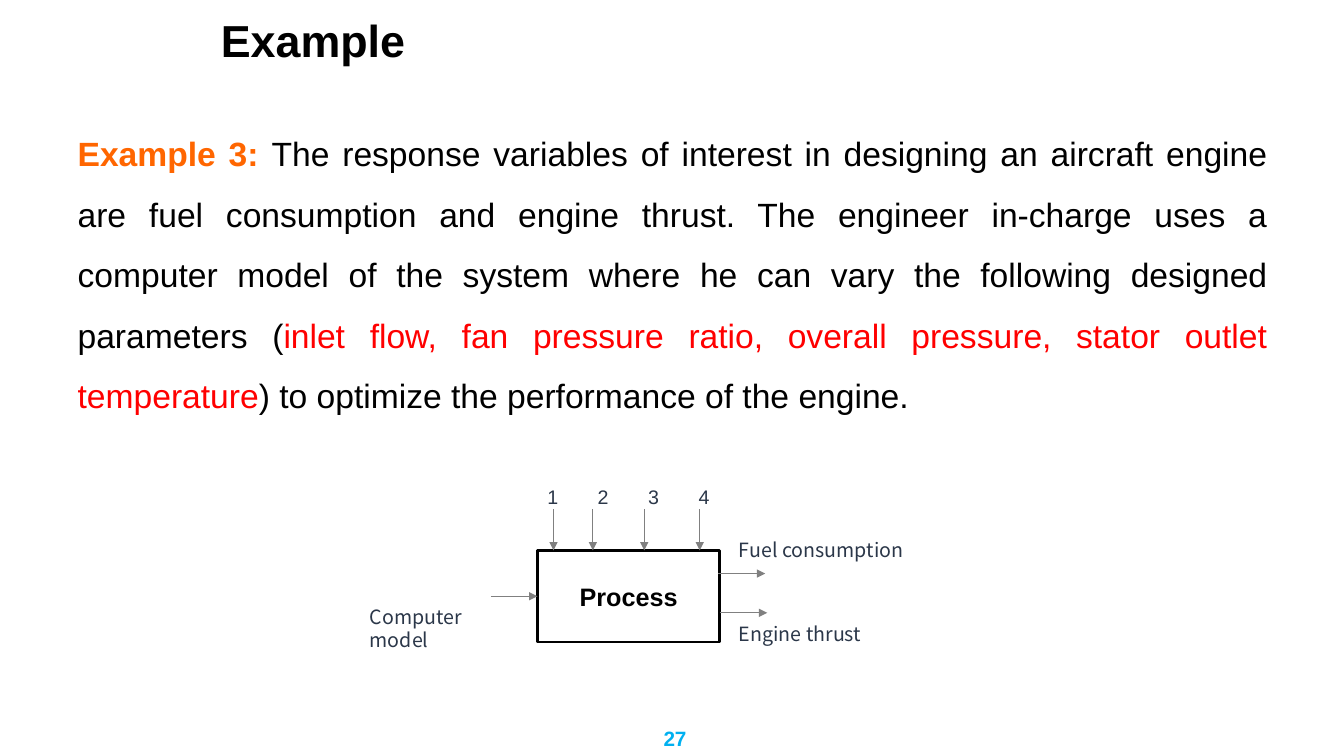
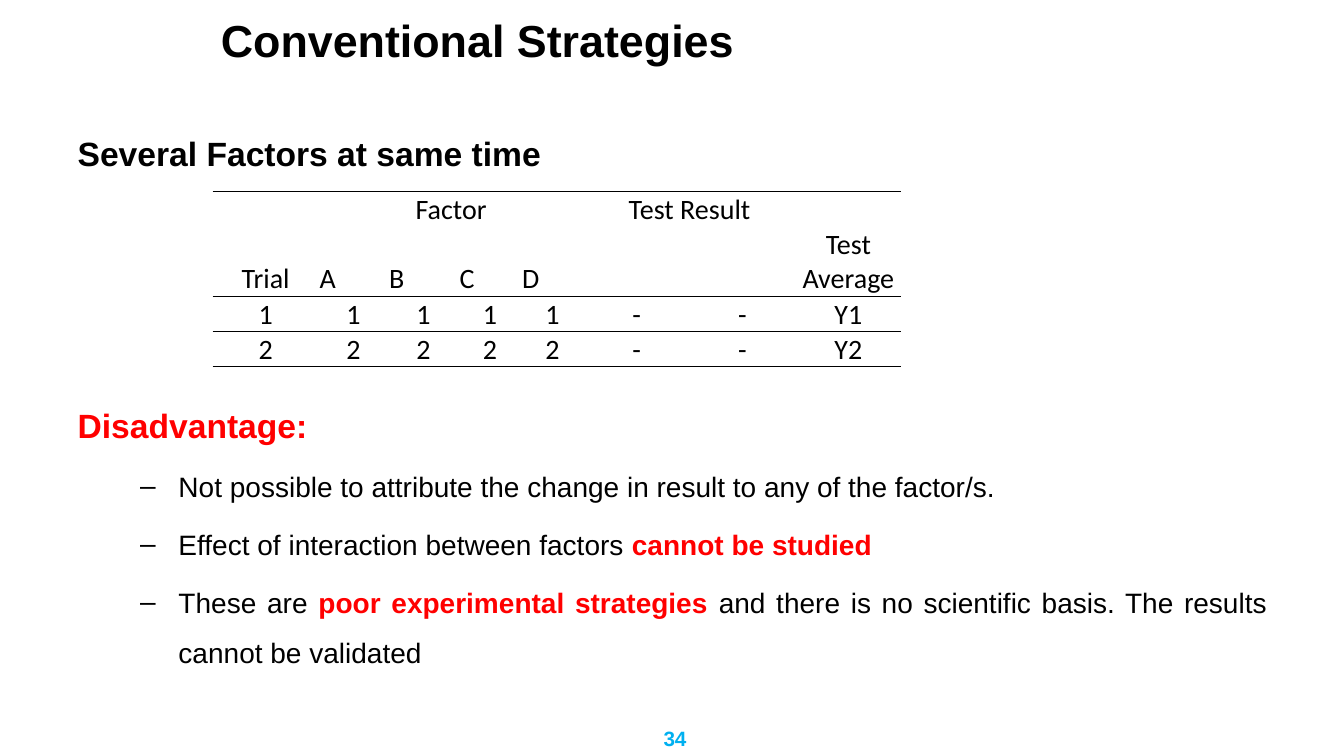
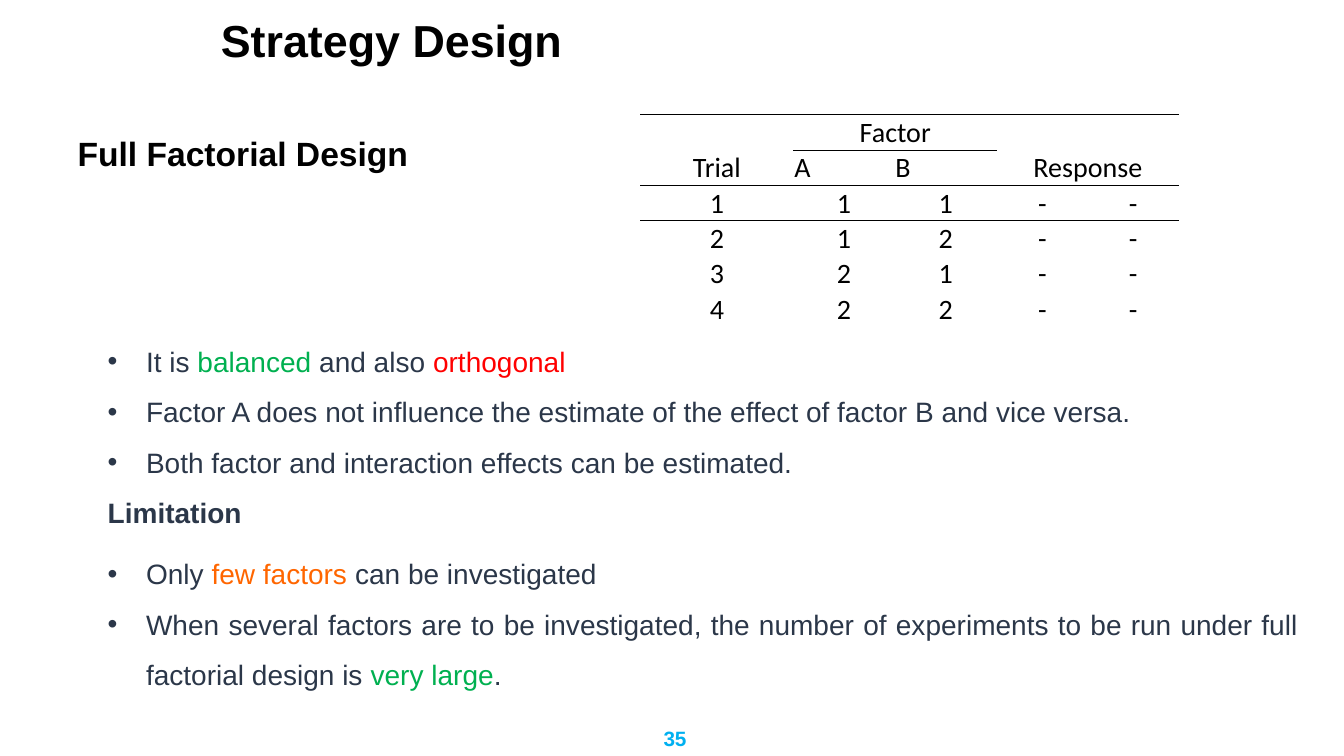
"""Build three slides on the design of experiments."""
import enum

import lxml.etree
import pptx
import pptx.dml.color
import pptx.enum.shapes
import pptx.enum.text
import pptx.oxml.ns
import pptx.util

Inches = pptx.util.Inches
Pt = pptx.util.Pt
Align = pptx.enum.text.PP_ALIGN
Anchor = pptx.enum.text.MSO_ANCHOR
qn = pptx.oxml.ns.qn
Sub = lxml.etree.SubElement


class Theme(enum.Enum):
    BLACK = pptx.dml.color.RGBColor(0, 0, 0)
    WHITE = pptx.dml.color.RGBColor(255, 255, 255)
    NAVY = pptx.dml.color.RGBColor.from_string("2B3749")
    ORANGE = pptx.dml.color.RGBColor.from_string("FF6600")
    RED = pptx.dml.color.RGBColor.from_string("FF0000")
    GREEN = pptx.dml.color.RGBColor.from_string("00B050")
    BLUE = pptx.dml.color.RGBColor.from_string("00B0F0")
    GREY = pptx.dml.color.RGBColor.from_string("808080")
    TITLE = Pt(32)
    HEAD = Pt(24)
    TEXT = Pt(20)
    BOX = Pt(18)
    PAGE = Pt(14.8)
    LABEL = Pt(14)
    SANS = "Arial"
    GRID = "Calibri"
    NOTE = "Noto Sans CJK KR"


def write(frame, runs, size, color=Theme.BLACK, bold=False, font=Theme.SANS,
          align=Align.LEFT, mark=None, left=0, space=None, gap=0, tabs=()):
    """Add one paragraph; a run is (text, colour, bold), the last two optional."""
    par = frame.paragraphs[0] if not frame.text else frame.add_paragraph()
    par.alignment = align
    par.line_spacing = space
    par.space_before = Pt(gap)
    props = par._p.get_or_add_pPr()
    props.set("marL", str(Inches(left)))
    props.set("indent", str(Inches(-0.38 if mark else 0)))
    if mark:
        Sub(props, qn("a:buFont"), typeface=Theme.SANS.value)
        Sub(props, qn("a:buChar"), char=mark)
    else:
        Sub(props, qn("a:buNone"))
    if tabs:
        stops = Sub(props, qn("a:tabLst"))
        for stop in tabs:
            Sub(stops, qn("a:tab"), pos=str(Inches(stop)), algn="l")
    par.font.size = size.value
    par.font.name = font.value
    par.font.bold = bold
    par.font.color.rgb = color.value
    for text, *look in runs:
        run = par.add_run()
        run.text = text
        if look:
            run.font.color.rgb = look[0].value
        if len(look) > 1:
            run.font.bold = look[1]


def place(slide, spot, wrap=True):
    """Add a text box and return its text frame."""
    frame = slide.shapes.add_textbox(*map(Inches, spot)).text_frame
    frame.word_wrap = wrap
    return frame


deck = pptx.Presentation()
deck.slide_width = Inches(13.33)
deck.slide_height = Inches(7.5)
layout = deck.slide_layouts[1]
for holder, spot in zip(layout.placeholders,
                        [(2.09, 0.16, 11.23, 0.47), (0.67, 1.07, 12, 5.63)]):
    holder.left, holder.top, holder.width, holder.height = map(Inches, spot)

slides, bodies = [], []
for title, page in [("Example", "27"), ("Conventional Strategies", "34"),
                    ("Strategy Design", "35")]:
    slide = deck.slides.add_slide(layout)
    head = slide.shapes.title.text_frame
    head.vertical_anchor = Anchor.MIDDLE
    body = slide.placeholders[1].text_frame
    for frame in (head, body):
        frame.auto_size = pptx.enum.text.MSO_AUTO_SIZE.NONE
    write(head, [(title,)], Theme.TITLE, bold=True)
    write(place(slide, (6.16, 7.15, 1.07, 0.41)), [(page,)], Theme.PAGE,
          Theme.BLUE, True, align=Align.CENTER)
    slides.append(slide)
    bodies.append(body)

engine, trial, full = slides
prose = dict(align=Align.JUSTIFY, space=1.5)

write(bodies[0], [
    ("Example 3: ", Theme.ORANGE, True),
    ("The response variables of interest in designing an aircraft engine are "
     "fuel consumption and engine thrust. The engineer in-charge uses a "
     "computer model of the system where he can vary the following designed "
     "parameters (",),
    ("inlet flow, fan pressure ratio, overall pressure, stator outlet "
     "temperature", Theme.RED),
    (") to optimize the performance of the engine.",)], Theme.HEAD, **prose)

block = engine.shapes.add_shape(
    pptx.enum.shapes.MSO_SHAPE.RECTANGLE,
    *map(Inches, (5.33, 5.46, 1.81, 0.91)))
block.shadow.inherit = False
block.fill.solid()
block.fill.fore_color.rgb = Theme.WHITE.value
block.line.color.rgb = Theme.BLACK.value
block.line.width = Pt(2)
block.text_frame.vertical_anchor = Anchor.MIDDLE
write(block.text_frame, [("Process",)], Theme.BOX, bold=True, align=Align.CENTER)

for text, spot in [("Computer model", (3.57, 5.95, 1.6, 0.57)),
                   ("Fuel consumption", (7.23, 5.29, 2.85, 0.34)),
                   ("Engine thrust", (7.23, 6.12, 2.85, 0.34))]:
    write(place(engine, spot), [(text,)], Theme.LABEL, Theme.NAVY,
          font=Theme.NOTE)
write(place(engine, (5.33, 4.76, 1.83, 0.34), False), [("1\t2\t3\t4",)],
      Theme.LABEL, Theme.NAVY, tabs=(0.49, 0.97, 1.51))

arrows = [(4.87, 5.91, 5.33, 5.91), (7.12, 5.69, 7.59, 5.69),
          (7.14, 6.08, 7.61, 6.08)]
arrows += [(x, 5.05, x, 5.46) for x in (5.49, 5.88, 6.39, 6.94)]
for ends in arrows:
    arrow = engine.shapes.add_connector(
        pptx.enum.shapes.MSO_CONNECTOR.STRAIGHT, *map(Inches, ends))
    arrow.line.color.rgb = Theme.GREY.value
    arrow.line.width = Pt(0.75)
    Sub(arrow.line._get_or_add_ln(), qn("a:tailEnd"), type="triangle")
    Sub(arrow._element.spPr, qn("a:effectLst"))
    if ends == arrows[0]:
        arrow.begin_y = Inches(5.915)
        arrow.end_connect(block, 1)

write(bodies[1], [("Several Factors at same time",)], Theme.HEAD, bold=True,
      **prose)
write(bodies[1], [("Disadvantage:",)], Theme.HEAD, Theme.RED, True, gap=150.6,
      **prose)
for runs in [
        [("Not possible to attribute the change in result to any of the "
          "factor/s.",)],
        [("Effect of interaction between factors ",),
         ("cannot be studied", Theme.RED, True)],
        [("These are ",), ("poor experimental strategies ", Theme.RED, True),
         ("and there is no scientific basis. The results cannot be "
          "validated",)]]:
    write(bodies[1], runs, Theme.TEXT, mark="–", left=1, gap=5.5, **prose)
    bodies[1].paragraphs[-1].level = 1

write(bodies[2], [("Full Factorial Design",)], Theme.HEAD, bold=True, **prose)
points = place(full, (0.97, 3.2, 12.01, 2.12))
limits = place(full, (0.97, 5.31, 12.01, 1.62))
for frame, runs in [
        (points, [("It is",), (" balanced ", Theme.GREEN), ("and also ",),
                  ("orthogonal", Theme.RED)]),
        (points, [("Factor A does not influence the estimate of the effect of "
                   "factor B and vice versa.",)]),
        (points, [("Both factor and interaction effects can be estimated.",)]),
        (limits, [("Only ",), ("few factors ", Theme.ORANGE),
                  ("can be investigated",)]),
        (limits, [("When several factors are to be investigated, the number of "
                   "experiments to be run under full factorial design is ",),
                  ("very large", Theme.GREEN), (".",)])]:
    write(frame, runs, Theme.TEXT, Theme.NAVY, mark="•", left=0.38, **prose)
write(points, [("Limitation",)], Theme.TEXT, Theme.NAVY, True, **prose)

grids = [
    (trial, (2.11, 1.9), [1.05, 0.69, 0.7, 0.62, 0.62, 1.05, 1.05, 1.05],
     [0.35, 0.69, 0.35, 0.35],
     [["Trial", "Factor", "", "", "", "Test Result", "", "Test Average"],
      ["", "A", "B", "C", "D", "", "", ""],
      ["1", "1", "1", "1", "1", "-", "-", "Y1"],
      ["2", "2", "2", "2", "2", "-", "-", "Y2"]],
     [(0, 0, 1, 0), (0, 1, 0, 4), (0, 5, 0, 6), (0, 7, 1, 7)],
     [(0, 0, 7, "a:lnT", 0.75), (2, 0, 7, "a:lnT", 1), (3, 0, 7, "a:lnB", 1)]),
    (full, (6.35, 1.14), [1.52, 1, 1.02, 0.9, 0.9], [0.35] * 6,
     [["Trial", "Factor", "", "Response", ""],
      ["", "A", "B", "", ""],
      ["1", "1", "1", "-", "-"],
      ["2", "1", "2", "-", "-"],
      ["3", "2", "1", "-", "-"],
      ["4", "2", "2", "-", "-"]],
     [(0, 0, 1, 0), (0, 1, 0, 2), (0, 3, 1, 4)],
     [(0, 0, 4, "a:lnT", 0.75), (1, 1, 2, "a:lnT", 1), (2, 0, 4, "a:lnT", 1)]),
]
for slide, spot, wides, highs, words, spans, rules in grids:
    size = (sum(wides), sum(highs))
    table = slide.shapes.add_table(
        len(highs), len(wides), *map(Inches, spot + size)).table
    table.first_row = table.horz_banding = False
    style = table._tbl.tblPr.find(qn("a:tableStyleId"))
    style.text = "{2D5ABB26-0587-4C30-8999-92F81FD0307C}"
    for column, wide in zip(table.columns, wides):
        column.width = Inches(wide)
    for row, high in zip(table.rows, highs):
        row.height = Inches(high)
    for top, left, low, right in spans:
        table.cell(top, left).merge(table.cell(low, right))
    for row, first, last, side, weight in rules:
        for col in range(first, last + 1):
            props = table.cell(row, col)._tc.get_or_add_tcPr()
            line = Sub(props, qn(side), w=str(Pt(weight)))
            fill = Sub(line, qn("a:solidFill"))
            Sub(fill, qn("a:srgbClr"), val=str(Theme.BLACK.value))
    for row, texts in enumerate(words):
        for col, text in enumerate(texts):
            cell = table.cell(row, col)
            cell.fill.background()
            cell.vertical_anchor = Anchor.BOTTOM
            cell.margin_left = cell.margin_right = Inches(0.01)
            cell.margin_top, cell.margin_bottom = Inches(0.01), 0
            if text:
                side = Align.LEFT if text in "ABCD" else Align.CENTER
                write(cell.text_frame, [(text,)], Theme.TEXT, font=Theme.GRID,
                      align=side)

deck.save("out.pptx")
